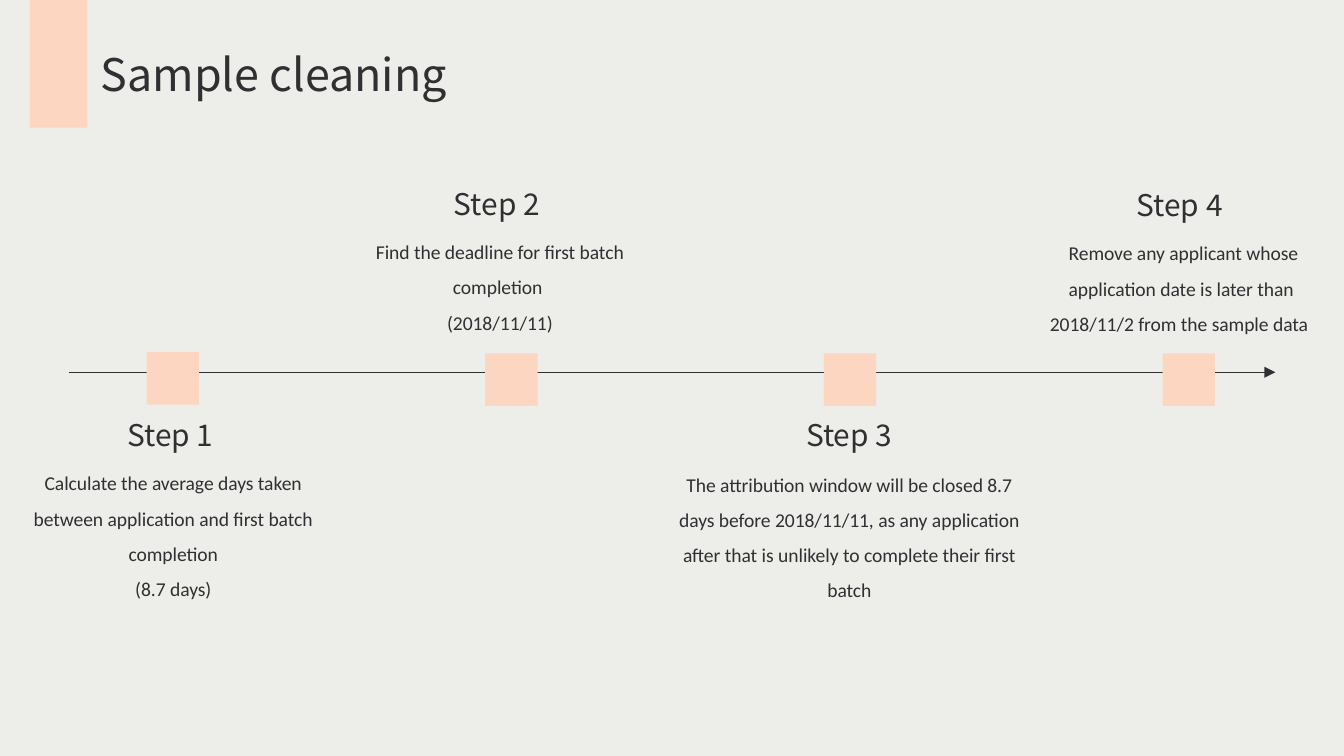
from lxml.etree import SubElement
from pptx import Presentation
from pptx.dml.color import RGBColor
from pptx.enum.shapes import MSO_CONNECTOR as CONN, MSO_SHAPE as SHAPE
from pptx.enum.text import MSO_ANCHOR as ANCHOR, MSO_AUTO_SIZE as AUTO, PP_ALIGN as ALIGN
from pptx.oxml.ns import qn
from pptx.util import Inches, Pt

COLORS = {"background": "EDEEE9", "accent": "FCD6C1", "text": "2E3032"}
HEAD_FONT, BODY_FONT = "Noto Sans CJK SC", "Calibri"

TITLE = "Sample cleaning"
# heading, paragraphs, heading left and top, body left, top and width, marker top
STEPS = [
    ("Step 1", ["Calculate the average days taken between application and first batch completion",
                "(8.7 days)"], 0.85, 3.05, 0.06, 3.37, 2.46, 2.62),
    ("Step 2", ["Find the deadline for first batch completion ",
                "(2018/11/11)"], 3.28, 1.33, 2.49, 1.65, 2.46, 2.63),
    ("Step 3", ["The attribution window will be closed 8.7 days before 2018/11/11, as any "
                "application after that is unlikely to complete their first batch"],
     5.9, 3.05, 4.94, 3.38, 2.76, 2.63),
    ("Step 4", [" Remove any applicant whose application date is later than 2018/11/2 "
                "from the sample data "], 8.36, 1.34, 7.56, 1.66, 2.46, 2.63),
]
MARKER_LEFT, MARKER_STEP, MARKER_SIZE = 1.09, 2.52, 0.39
HEAD_W, HEAD_H = 0.87, 0.37
AXIS_LEFT, AXIS_RIGHT, AXIS_Y = 0.51, 9.49, 2.77


def color(name):
    return RGBColor.from_string(COLORS[name])


def add_block(s, left, top, width, height):
    sp = s.shapes.add_shape(SHAPE.RECTANGLE, Inches(left), Inches(top),
                            Inches(width), Inches(height))
    sp.shadow.inherit = False
    sp.fill.solid()
    sp.fill.fore_color.rgb = color("accent")
    sp.line.fill.background()


def write(tf, lines, font, size, align, spacing=1.0, wrap=False):
    tf.word_wrap = wrap
    tf.auto_size = AUTO.SHAPE_TO_FIT_TEXT
    tf.vertical_anchor = ANCHOR.TOP
    for i, line in enumerate(lines):
        p = tf.add_paragraph() if i else tf.paragraphs[0]
        p.alignment = align
        p.line_spacing = spacing
        r = p.add_run()
        r.text = line
        r.font.name = font
        r.font.size = Pt(size)
        r.font.color.rgb = color("text")


def add_text(s, left, top, width, height, *args, **kwargs):
    sp = s.shapes.add_textbox(Inches(left), Inches(top), Inches(width), Inches(height))
    write(sp.text_frame, *args, **kwargs)


def add_axis(s):
    line = s.shapes.add_connector(CONN.STRAIGHT, Inches(AXIS_LEFT), Inches(AXIS_Y),
                                  Inches(AXIS_RIGHT), Inches(AXIS_Y))
    line.line.color.rgb = color("text")
    line.line.width = Pt(0.5)
    SubElement(line.line._get_or_add_ln(), qn("a:tailEnd"), type="triangle")
    SubElement(line._element.spPr, qn("a:effectLst"))


def main():
    prs = Presentation()
    prs.slide_width = Inches(10)
    prs.slide_height = prs.slide_width * 9 // 16  # widescreen
    s = prs.slides.add_slide(prs.slide_layouts[5])
    s.background.fill.solid()
    s.background.fill.fore_color.rgb = color("background")

    # Title with its accent bar
    add_block(s, 0.22, 0, 0.43, 0.95)
    title = s.shapes.title
    title.left, title.top = Inches(0.65), Inches(0.3)
    title.width, title.height = Inches(2.95), Inches(0.5)
    write(title.text_frame, [TITLE], HEAD_FONT, 24, ALIGN.LEFT)

    # Timeline with one marker per step
    add_axis(s)
    for i, step in enumerate(STEPS):
        head, lines, head_left, head_top, body_left, body_top, body_w, marker_top = step
        add_block(s, MARKER_LEFT + i * MARKER_STEP, marker_top, MARKER_SIZE, MARKER_SIZE)
        body_h = 1.13 if head_top > AXIS_Y else 0.87
        add_text(s, body_left, body_top, body_w, body_h,
                 lines, BODY_FONT, 10.5, ALIGN.CENTER, spacing=1.5, wrap=True)
        add_text(s, head_left, head_top, HEAD_W, HEAD_H,
                 [head], HEAD_FONT, 16, ALIGN.LEFT)

    prs.save("out.pptx")


if __name__ == "__main__":
    main()
